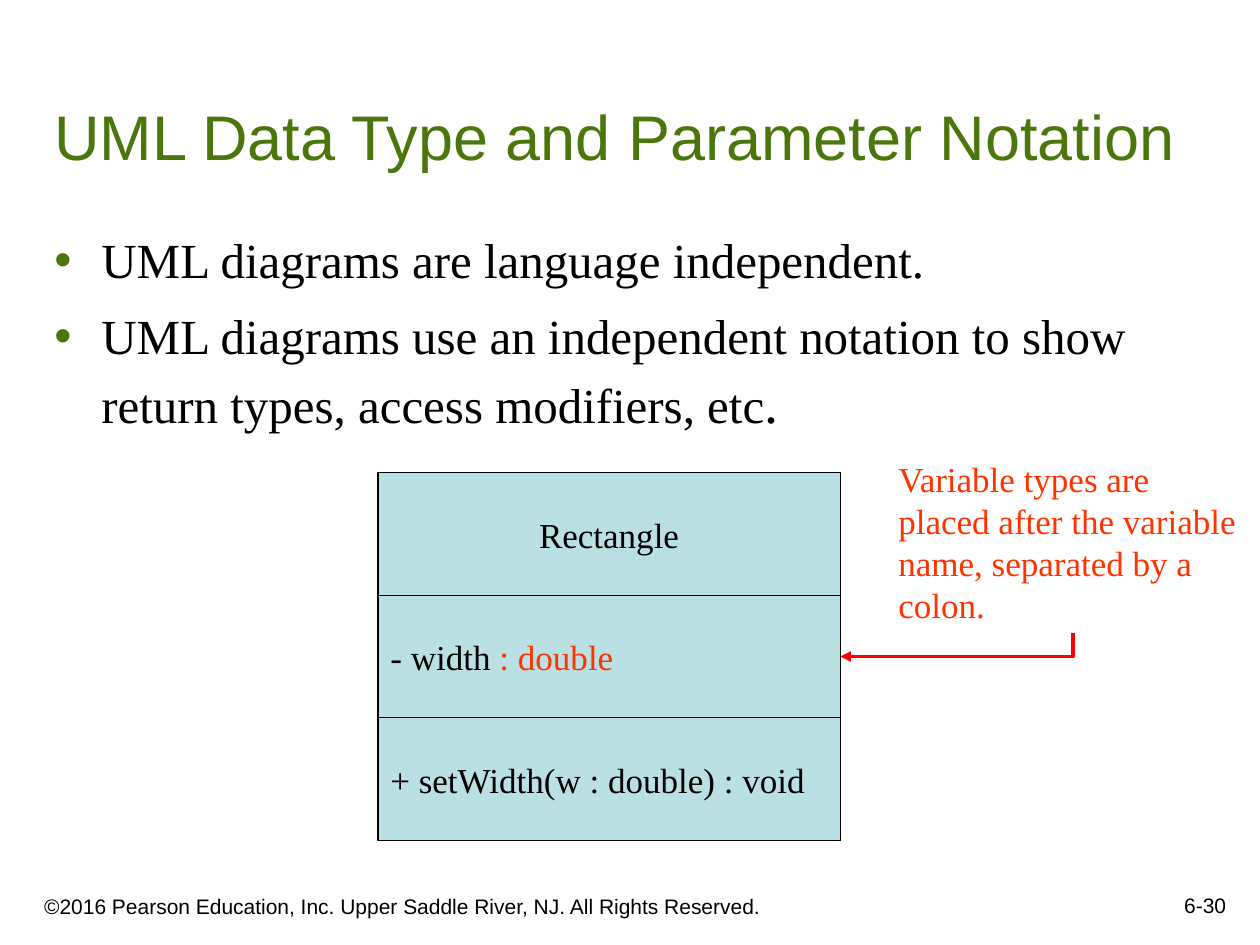
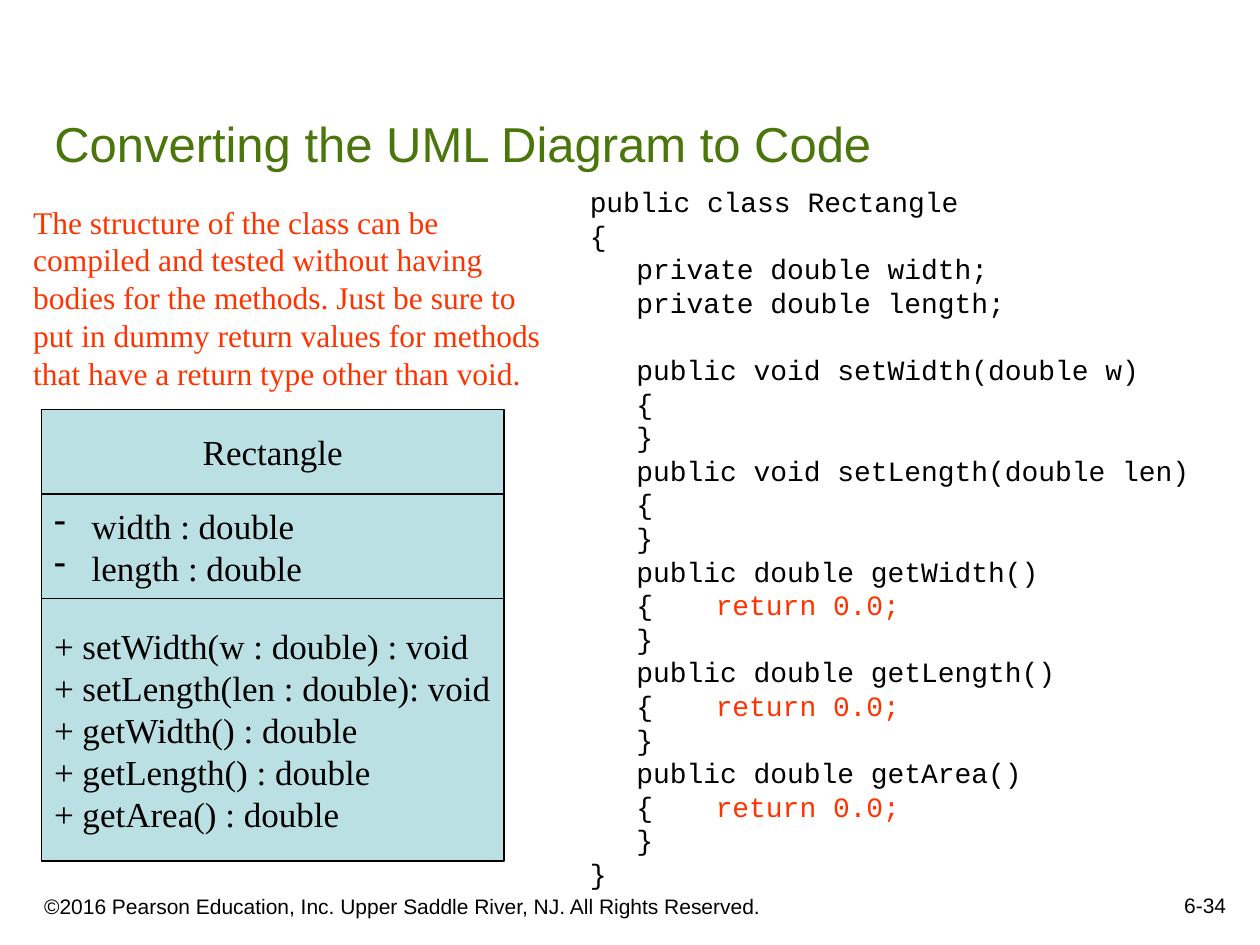
from dataclasses import dataclass

import lxml.etree
import pptx
import pptx.dml.color
import pptx.enum.shapes
import pptx.enum.text
import pptx.oxml.ns
import pptx.util

Cm = pptx.util.Cm
Pt = pptx.util.Pt
Align = pptx.enum.text.PP_ALIGN
Anchor = pptx.enum.text.MSO_ANCHOR
qn = pptx.oxml.ns.qn


@dataclass(frozen=True)
class Theme:
    ink: str = "000000"
    green: str = "4B760B"
    accent: str = "FF3300"
    arrow: str = "FF0000"
    box: str = "BBE0E3"
    sans: str = "Arial"
    serif: str = "Times New Roman"
    mono: str = "Courier New"
    title: int = 36
    small_title: int = 28
    body: int = 28
    full_stop: int = 32
    diagram: int = 20
    note: int = 18
    listing: int = 16
    footer: int = 12


COPYRIGHT = "©2016 Pearson Education, Inc. Upper Saddle River, NJ. All Rights Reserved."
CLASS_WIDTH = 9.32
CODE = """public class Rectangle
{
\tprivate double width;
\tprivate double length;

\tpublic void setWidth(double w)
\t{
\t}
\tpublic void setLength(double len)
\t{
\t}
\tpublic double getWidth()
\t{\treturn 0.0;
\t}
\tpublic double getLength()
\t{\treturn 0.0;
\t}
\tpublic double getArea()
\t{\treturn 0.0;
\t}
}"""


def rgb(value):
    return pptx.dml.color.RGBColor.from_string(value)


class Deck:
    def __init__(self, theme):
        self.theme = theme
        self.presentation = pptx.Presentation()
        self.presentation.slide_width = Cm(25.4)
        self.presentation.slide_height = Cm(19.05)
        self.slide = None

    def add_slide(self, layout, title, size, number):
        theme = self.theme
        self.slide = self.presentation.slides.add_slide(self.presentation.slide_layouts[layout])
        heading = self.slide.shapes.title
        self.place(heading, 0.84, 0.84, 23.93, 2.77)
        self.set_text(heading, title, theme.sans, size, theme.green, anchor=Anchor.BOTTOM)
        self.label(COPYRIGHT, 0.64, 17.58, 15.44, 1.07, theme.sans, theme.footer,
                   theme.ink, anchor=Anchor.BOTTOM)
        self.label(number, 19.69, 17.35, 5.28, 1.27, theme.sans, theme.footer,
                   theme.ink, Align.RIGHT, Anchor.BOTTOM)

    def place(self, shape, left, top, width, height):
        shape.left, shape.top, shape.width, shape.height = map(Cm, (left, top, width, height))

    def style(self, run, face, size, color):
        run.font.name = face
        run.font.size = Pt(size)
        run.font.color.rgb = rgb(color)

    def set_text(self, shape, text, face, size, color, align=Align.LEFT, anchor=Anchor.TOP,
                 highlight=None, wrap=True):
        frame = shape.text_frame
        frame.word_wrap = wrap
        frame.auto_size = pptx.enum.text.MSO_AUTO_SIZE.NONE
        frame.vertical_anchor = anchor
        frame.text = text
        for paragraph in frame.paragraphs:
            paragraph.alignment = align
            line = paragraph.text
            marked = highlight and line.endswith(highlight)
            if marked:
                paragraph.text = line.removesuffix(highlight)
            for run in paragraph.runs:
                self.style(run, face, size, color)
            if marked:
                ending = paragraph.add_run()
                ending.text = highlight
                self.style(ending, face, size, self.theme.accent)
            paragraph.font.size = Pt(size)
        return frame

    def label(self, text, left, top, width, height, face, size, color,
              align=Align.LEFT, anchor=Anchor.TOP, highlight=None):
        box = self.slide.shapes.add_textbox(Cm(left), Cm(top), Cm(width), Cm(height))
        self.set_text(box, text, face, size, color, align, anchor, highlight)
        return box

    def bullet(self, paragraph, mark, color, indent):
        properties = paragraph._p.get_or_add_pPr()
        properties.set("marL", str(Cm(indent)))
        properties.set("indent", str(-Cm(indent)))
        tint = lxml.etree.Element(qn("a:buClr"))
        lxml.etree.SubElement(tint, qn("a:srgbClr"), val=color)
        glyph = lxml.etree.Element(qn("a:buChar"), char=mark)
        properties.insert_element_before(tint, "a:tabLst", "a:defRPr")
        properties.insert_element_before(glyph, "a:tabLst", "a:defRPr")

    def bullets(self, lines, left, top, width, height):
        theme = self.theme
        body = self.slide.placeholders[1]
        self.place(body, left, top, width, height)
        frame = self.set_text(body, "\n".join(lines), theme.serif, theme.body, theme.ink)
        frame.margin_right = 0
        for index, paragraph in enumerate(frame.paragraphs):
            self.bullet(paragraph, "•", theme.green, 0.95)
            paragraph.line_spacing = 1.05
            paragraph.space_before = Pt(8 if index else 0)
        return frame

    def class_diagram(self, left, top, sections, heights, highlight=None):
        theme = self.theme
        compartments = []
        for index, (section, height) in enumerate(zip(sections, heights)):
            compartment = self.slide.shapes.add_shape(
                pptx.enum.shapes.MSO_SHAPE.RECTANGLE,
                Cm(left), Cm(top), Cm(CLASS_WIDTH), Cm(height))
            compartment.shadow.inherit = False
            compartment.fill.solid()
            compartment.fill.fore_color.rgb = rgb(theme.box)
            compartment.line.color.rgb = rgb(theme.ink)
            compartment.line.width = Pt(0.75)
            self.set_text(compartment, section, theme.serif, theme.diagram, theme.ink,
                          Align.LEFT if index else Align.CENTER, Anchor.MIDDLE, highlight, False)
            compartments.append(compartment)
            top += height
        return compartments

    def listing(self, text, left, top, width, height, highlight):
        theme = self.theme
        block = self.label(text, left, top, width, height, theme.mono, theme.listing,
                           theme.ink, highlight=highlight)
        for paragraph in block.text_frame.paragraphs:
            stops = lxml.etree.Element(qn("a:tabLst"))
            for position in (0.94, 2.54):
                lxml.etree.SubElement(stops, qn("a:tab"), pos=str(Cm(position)), algn="l")
            paragraph._p.get_or_add_pPr().insert_element_before(stops, "a:defRPr")

    def elbow_arrow(self, target, note):
        arrow = self.slide.shapes.add_connector(
            pptx.enum.shapes.MSO_CONNECTOR.ELBOW,
            target.left + target.width, target.top + target.height // 2,
            note.left + note.width // 2, note.top + note.height)
        arrow.begin_connect(target, 3)
        arrow.end_connect(note, 2)
        arrow.line.color.rgb = rgb(self.theme.arrow)
        arrow.line.width = Pt(2)
        properties = arrow._element.spPr
        properties.find(qn("a:prstGeom")).set("prst", "bentConnector2")
        lxml.etree.SubElement(properties.find(qn("a:ln")), qn("a:headEnd"), type="triangle")
        lxml.etree.SubElement(properties, qn("a:effectLst"))


def notation_slide(deck):
    theme = deck.theme
    deck.add_slide(1, "UML Data Type and Parameter Notation", theme.title, "6-30")
    points = deck.bullets(
        ["UML diagrams are language independent.",
         "UML diagrams use an independent notation to show return types, access modifiers, etc"],
        0.84, 4.45, 23.04, 4.93)
    full_stop = points.paragraphs[-1].add_run()
    full_stop.text = "."
    deck.style(full_stop, theme.serif, theme.full_stop, theme.ink)
    _, field, _ = deck.class_diagram(
        7.62, 9.53, ["Rectangle", "- width : double", "+ setWidth(w : double) : void"],
        [2.47] * 3, highlight=": double")
    type_note = deck.label(
        "Variable types are placed after the variable name, separated by a colon.",
        17.86, 9.1, 7.54, 3.66, theme.serif, theme.diagram, theme.accent)
    deck.elbow_arrow(field, type_note)


def code_slide(deck):
    theme = deck.theme
    deck.add_slide(5, "Converting the UML Diagram to Code", theme.small_title, "6-34")
    methods = ["+ setWidth(w : double) : void", "+ setLength(len : double): void",
               "+ getWidth() : double", "+ getLength() : double", "+ getArea() : double"]
    _, fields, _ = deck.class_diagram(
        0.84, 8.26, ["Rectangle", "width : double\nlength : double", "\n".join(methods)],
        [1.7, 2.11, 5.29])
    for field in fields.text_frame.paragraphs:
        deck.bullet(field, "-", theme.ink, 0.76)
    deck.listing(CODE, 11.64, 3.6, 13.33, 15.16, "return 0.0;")
    deck.label("The structure of the class can be compiled and tested without having bodies "
               "for the methods. Just be sure to put in dummy return values for methods that "
               "have a return type other than void.",
               0.42, 3.96, 11.07, 4.06, theme.serif, theme.note, theme.accent)


def main():
    deck = Deck(Theme())
    notation_slide(deck)
    code_slide(deck)
    deck.presentation.save("out.pptx")


if __name__ == "__main__":
    main()
